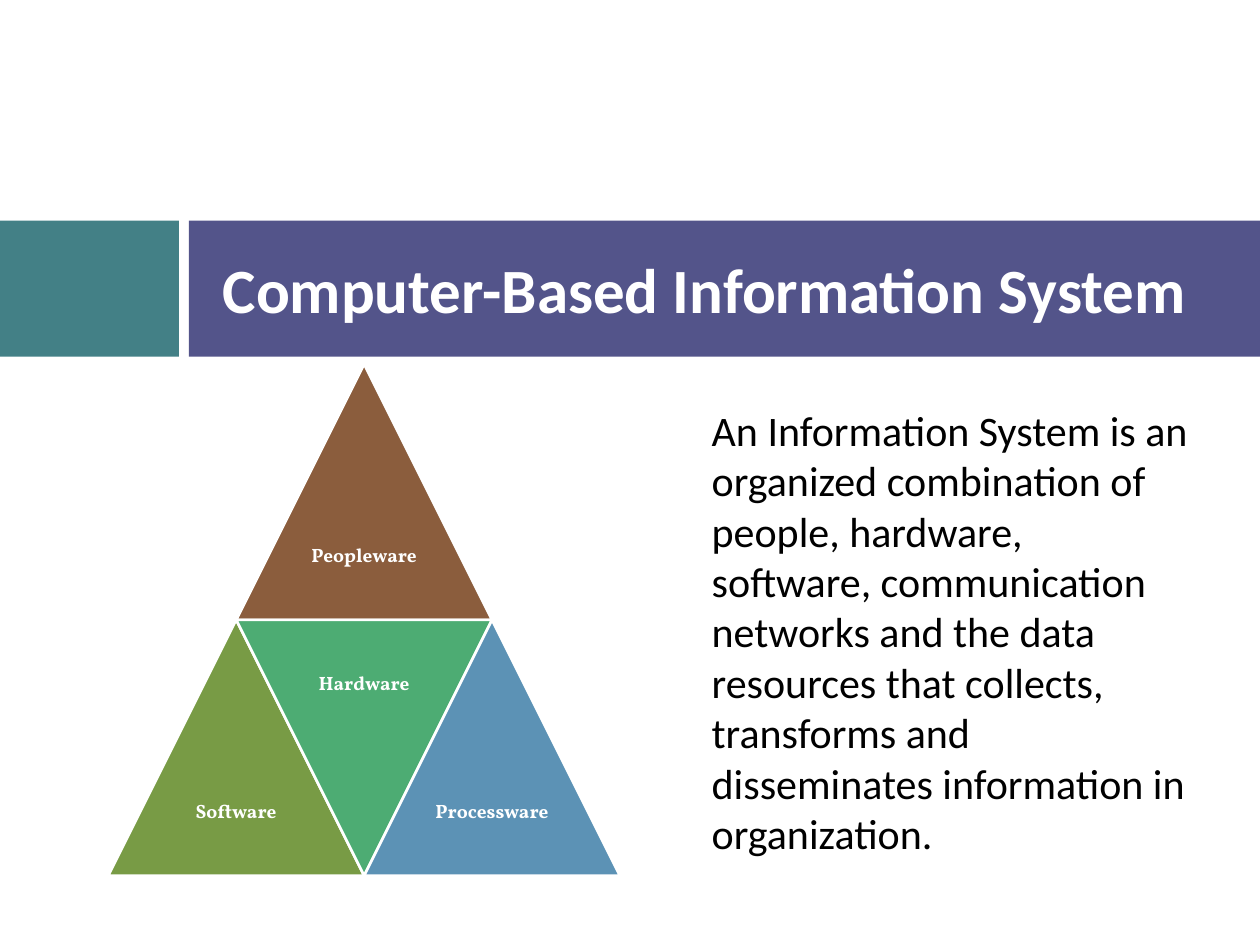
from pptx import Presentation
from pptx.dml.color import RGBColor
from pptx.enum.shapes import MSO_SHAPE
from pptx.enum.text import MSO_ANCHOR, PP_ALIGN
from pptx.util import Inches, Pt

RECT, TRI = MSO_SHAPE.RECTANGLE, MSO_SHAPE.ISOSCELES_TRIANGLE
TOP, MIDDLE = MSO_ANCHOR.TOP, MSO_ANCHOR.MIDDLE
LEFT, CENTER = PP_ALIGN.LEFT, PP_ALIGN.CENTER
WHITE = RGBColor(0xFF, 0xFF, 0xFF)
BLACK = RGBColor(0, 0, 0)
TEAL = RGBColor(0x43, 0x80, 0x86)
INDIGO = RGBColor(0x53, 0x54, 0x8A)
BROWN = RGBColor(0x8B, 0x5D, 0x3D)
OLIVE = RGBColor(0x78, 0x9B, 0x45)
GREEN = RGBColor(0x4D, 0xAC, 0x73)
BLUE = RGBColor(0x5C, 0x92, 0xB5)

TITLE = "Computer-Based Information System"
BODY = ("An Information System is an organized combination of people, "
        "hardware, software, communication networks and the data resources "
        "that collects, transforms and disseminates information in "
        "organization.")
BANDS = [(0, 1.42, TEAL), (1.5, 8.5, INDIGO)]
BAND_TOP, BAND_HIGH = 1.75, 1.08

# Label, fill, column in half sides, row, upside down
PARTS = [
    ("Peopleware", BROWN, 1, 0, False),
    ("Software", OLIVE, 0, 1, False),
    ("Hardware", GREEN, 1, 1, True),
    ("Processware", BLUE, 2, 1, False),
]
SIDE = 2.03
HALF = SIDE / 2
PYR_LEFT, PYR_TOP = 0.86, 2.89

deck = Presentation()
deck.slide_width, deck.slide_height = Inches(10), Inches(7.5)
slide = deck.slides.add_slide(deck.slide_layouts[6])


def add_form(kind, box, fill):
    """Add a flat filled shape without an outline."""
    form = slide.shapes.add_shape(kind, *map(Inches, box))
    form.shadow.inherit = False
    form.fill.solid()
    form.fill.fore_color.rgb = fill
    form.line.fill.background()
    return form


def add_text(text, box, font, size, color, bold=False, anchor=TOP, align=LEFT):
    """Add a wrapped text box and return its frame."""
    frame = slide.shapes.add_textbox(*map(Inches, box)).text_frame
    frame.word_wrap = True
    frame.vertical_anchor = anchor
    frame.text = text
    para = frame.paragraphs[0]
    para.alignment = align
    face = para.runs[0].font
    face.name, face.size, face.bold = font, Pt(size), bold
    face.color.rgb = color
    return frame


def add_part(label, fill, col, row, flip):
    """Add one triangle of the pyramid with its label."""
    left, top = PYR_LEFT + col * HALF, PYR_TOP + row * SIDE
    form = add_form(TRI, (left, top, SIDE, SIDE), fill)
    form.rotation = 180 if flip else 0
    form.line.color.rgb = WHITE
    form.line.width = Pt(1.5)
    drop = 0 if flip else HALF
    frame = add_text(label, (left + HALF / 2, top + drop, HALF, HALF),
                     "Vollkorn", 11, WHITE, True, MIDDLE, CENTER)
    frame.margin_left = frame.margin_right = Inches(0.05)
    frame.margin_top = frame.margin_bottom = Inches(0.05)
    frame.paragraphs[0].line_spacing = 0.9


for left, wide, fill in BANDS:
    add_form(RECT, (left, BAND_TOP, wide, BAND_HIGH), fill)
add_text(BODY, (5.55, 3.16, 3.98, 4.34), "Calibri", 24, BLACK)
add_text(TITLE, (1.67, BAND_TOP, 8.33, BAND_HIGH), "Calibri", 36, WHITE,
         True, MIDDLE)
for part in PARTS:
    add_part(*part)

deck.save("out.pptx")
